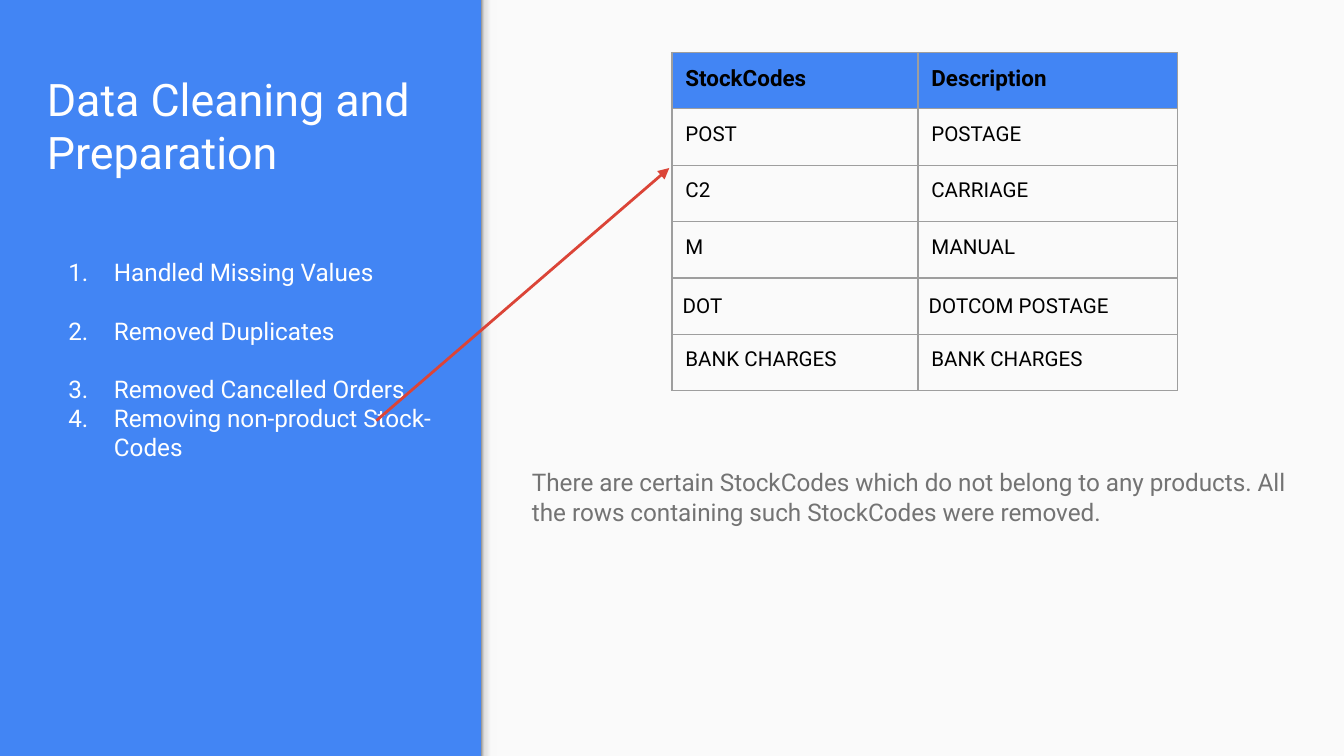
"""Build the data cleaning slide with its list of steps and table of stock codes."""
from lxml.etree import SubElement
from pptx import Presentation
from pptx.dml.color import RGBColor
from pptx.enum.shapes import MSO_CONNECTOR as Connector, MSO_SHAPE as Shape
from pptx.enum.text import MSO_ANCHOR as Anchor
from pptx.oxml.ns import qn
from pptx.util import Inches, Pt

BLUE = RGBColor(0x42, 0x85, 0xF4)
PAPER = RGBColor(0xFA, 0xFA, 0xFA)
WHITE = RGBColor(0xFF, 0xFF, 0xFF)
BLACK = RGBColor(0, 0, 0)
GRAY = RGBColor(0x73, 0x73, 0x73)
RED = RGBColor(0xDB, 0x44, 0x37)
BORDER = RGBColor(0x9E, 0x9E, 0x9E)
SHADE_LIGHT = RGBColor(0xF9, 0xF9, 0xF9)
SHADE_MID = RGBColor(0xDE, 0xDE, 0xDE)
SHADE_DARK = RGBColor(0x99, 0x99, 0x99)

EDGE_SHADES = [(0, SHADE_LIGHT), (36, SHADE_LIGHT), (80, SHADE_MID), (100, SHADE_DARK)]
TITLE = "Data Cleaning and Preparation"
STEPS = {
    "Handled Missing Values": 2.0,
    "Removed Duplicates": 2.0,
    "Removed Cancelled Orders": 2.0,
    "Removing non-product Stock-Codes": 1.0,
}
STOCK_CODES = [
    ("StockCodes", "Description"),
    ("POST", "POSTAGE"),
    ("C2", "CARRIAGE"),
    ("M", "MANUAL"),
    ("DOT", "DOTCOM POSTAGE"),
    ("BANK CHARGES", "BANK CHARGES"),
]
CENTERED_CODE = "DOT"
NOTE = ("There are certain StockCodes which do not belong to any products. "
        "All the rows containing such StockCodes were removed.")

WIDTH = 10
HEIGHT = WIDTH * 9 / 16
PANEL_LEFT, EDGE = 3.58, 0.12
SIDE_LEFT, SIDE_WIDTH, TOP = 0.25, 3.07, 0.39
COLUMNS, ROW = (1.83, 1.93), 0.42


def style(paragraph, size, color, bold=False):
    font = paragraph.font
    font.name, font.size, font.bold = "Roboto", Pt(size), bold
    font.color.rgb = color


def set_insets(area, inset):
    area.margin_left = area.margin_right = Inches(inset)
    area.margin_top = area.margin_bottom = Inches(inset)


def number_step(paragraph, spacing):
    paragraph.line_spacing = spacing
    props = paragraph._p.get_or_add_pPr()
    props.set("marL", str(Inches(0.5)))
    props.set("indent", str(Inches(-0.34)))
    number_color = SubElement(props, qn("a:buClr"))
    SubElement(number_color, qn("a:srgbClr"), val=str(WHITE))
    SubElement(props, qn("a:buAutoNum"), type="arabicPeriod")


def add_text(slide, box, lines, size, color, anchor=Anchor.TOP, spacings=()):
    frame = slide.shapes.add_textbox(*map(Inches, box)).text_frame
    frame.word_wrap, frame.vertical_anchor = True, anchor
    set_insets(frame, 0.1)
    frame.text = "\n".join(lines)
    for paragraph, spacing in zip(frame.paragraphs, spacings):
        number_step(paragraph, spacing)
    for paragraph in frame.paragraphs:
        style(paragraph, size, color)


def add_block(slide, box):
    block = slide.shapes.add_shape(Shape.RECTANGLE, *map(Inches, box))
    block.shadow.inherit = False
    block.line.fill.background()
    return block


def add_panel(slide):
    panel = add_block(slide, (PANEL_LEFT, 0, WIDTH - PANEL_LEFT, HEIGHT))
    panel.fill.solid()
    panel.fill.fore_color.rgb = PAPER
    edge_left = PANEL_LEFT + EDGE / 2 - HEIGHT / 2
    edge = add_block(slide, (edge_left, (HEIGHT - EDGE) / 2, HEIGHT, EDGE))
    edge.rotation = 270
    edge.fill.gradient()
    edge.fill.gradient_angle = 90
    stops = edge._element.spPr.find(qn("a:gradFill")).find(qn("a:gsLst"))
    for stop in list(stops):
        stops.remove(stop)
    for share, color in EDGE_SHADES:
        stop = SubElement(stops, qn("a:gs"), pos=str(share * 1000))
        SubElement(stop, qn("a:srgbClr"), val=str(color))


def add_borders(cell):
    props = cell._tc.get_or_add_tcPr()
    for side in ("a:lnL", "a:lnR", "a:lnT", "a:lnB"):
        line = SubElement(props, qn(side), w=str(Pt(0.75)))
        fill = SubElement(line, qn("a:solidFill"))
        SubElement(fill, qn("a:srgbClr"), val=str(BORDER))


def add_code_table(slide):
    box = (WIDTH / 2, TOP, sum(COLUMNS), ROW * len(STOCK_CODES))
    table = slide.shapes.add_table(
        len(STOCK_CODES), len(COLUMNS), *map(Inches, box)).table
    table.first_row = table.horz_banding = False
    for column, width in zip(table.columns, COLUMNS):
        column.width = Inches(width)
    for index, (row, values) in enumerate(zip(table.rows, STOCK_CODES)):
        header, centered = index == 0, values[0] == CENTERED_CODE
        row.height = Inches(ROW)
        for cell, value in zip(row.cells, values):
            cell.text = value
            style(cell.text_frame.paragraphs[0], 12 if header else 11, BLACK, header)
            set_insets(cell, 0.08 if centered else 0.1)
            cell.vertical_anchor = Anchor.MIDDLE if centered else Anchor.TOP
            add_borders(cell)
            if header:
                cell.fill.solid()
                cell.fill.fore_color.rgb = BLUE
            else:
                cell.fill.background()


def add_arrow(slide, start, end):
    arrow = slide.shapes.add_connector(
        Connector.STRAIGHT, *map(Inches, start + end))
    arrow.line.color.rgb, arrow.line.width = RED, Pt(1.5)
    SubElement(arrow.line._get_or_add_ln(), qn("a:tailEnd"), type="triangle")
    SubElement(arrow._element.spPr, qn("a:effectLst"))


def main():
    deck = Presentation()
    deck.slide_width, deck.slide_height = Inches(WIDTH), Inches(HEIGHT)
    slide = deck.slides.add_slide(deck.slide_layouts[6])
    slide.background.fill.solid()
    slide.background.fill.fore_color.rgb = BLUE
    add_panel(slide)
    add_text(slide, (SIDE_LEFT, TOP, SIDE_WIDTH, 1.04), [TITLE], 24, WHITE,
             anchor=Anchor.BOTTOM)
    add_text(slide, (SIDE_LEFT, 1.6, SIDE_WIDTH, 3.46), STEPS, 13, WHITE,
             spacings=STEPS.values())
    add_code_table(slide)
    add_arrow(slide, (2.8, 3.13), (4.98, 1.25))
    add_text(slide, (3.86, 3.38, 5.99, 1.39), [NOTE], 13, GRAY)
    deck.save("out.pptx")


if __name__ == "__main__":
    main()
